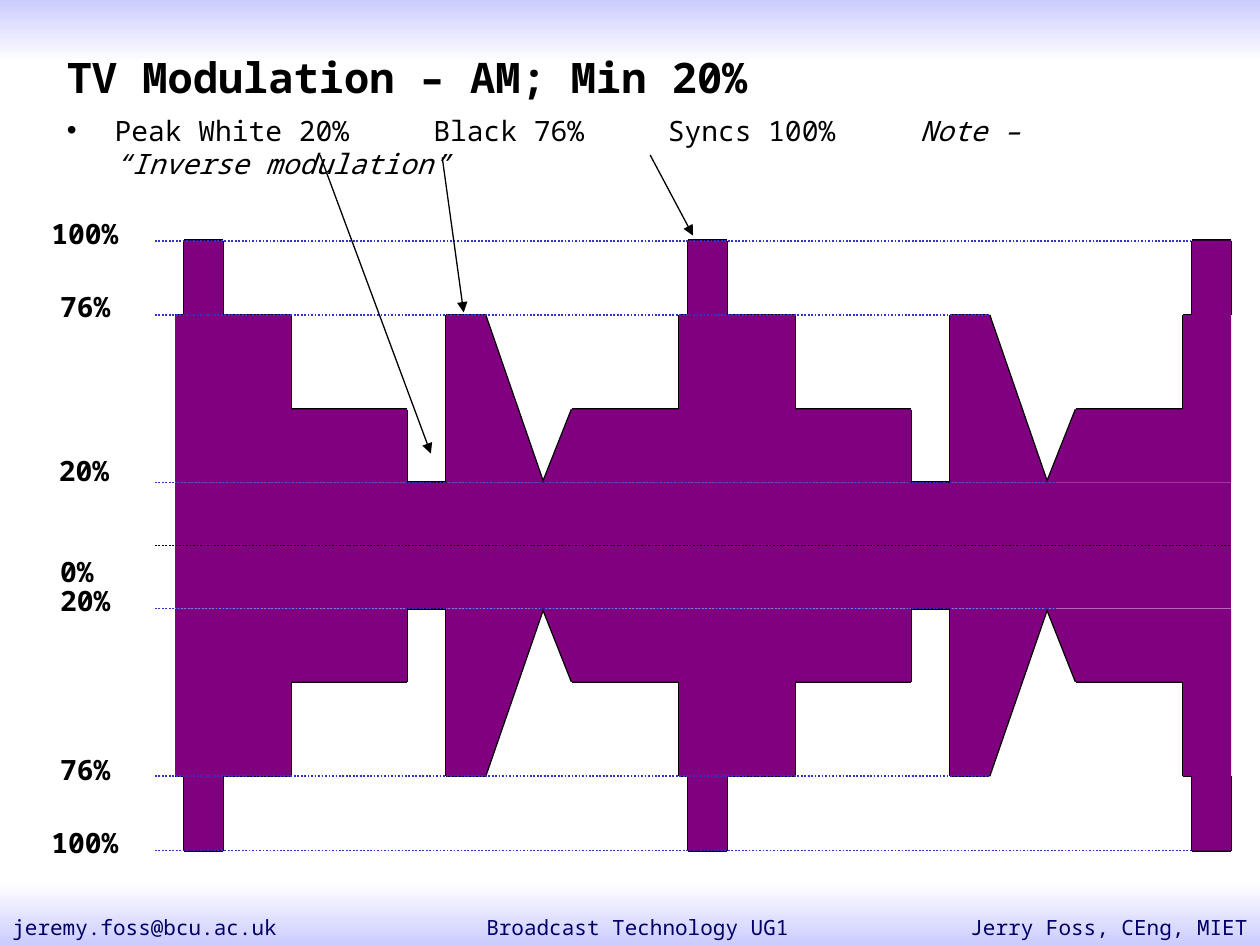
from itertools import pairwise

from lxml.etree import SubElement
from pptx import Presentation
from pptx.dml.color import RGBColor
from pptx.enum.dml import MSO_LINE
from pptx.enum.shapes import MSO_CONNECTOR, MSO_SHAPE
from pptx.enum.text import MSO_ANCHOR, MSO_AUTO_SIZE, PP_ALIGN
from pptx.oxml.ns import qn
from pptx.util import Inches, Pt

FONT = "Noto Sans Mono"
BLACK = RGBColor(0x00, 0x00, 0x00)
WHITE = RGBColor(0xFF, 0xFF, 0xFF)
LAVENDER = RGBColor(0xCC, 0xCC, 0xFF)
NAVY = RGBColor(0x00, 0x00, 0x66)
BLUE = RGBColor(0x33, 0x33, 0xCC)
PURPLE = RGBColor(0x80, 0x00, 0x80)


def add_line(shapes, start, end, color, width):
    line = shapes.add_connector(
        MSO_CONNECTOR.STRAIGHT, *[Inches(value) for value in (*start, *end)])
    line.line.color.rgb = color
    line.line.width = Pt(width)
    SubElement(line._element.spPr, qn("a:effectLst"))
    return line


def add_label(text, left, top, width, height, size, color, bold=False):
    box = slide.shapes.add_textbox(
        Inches(left), Inches(top), Inches(width), Inches(height))
    box.text_frame.text = text
    paragraph = box.text_frame.paragraphs[0]
    font = paragraph.runs[0].font
    font.name, font.size, font.bold = FONT, Pt(size), bold
    font.color.rgb = color
    return box


presentation = Presentation()
presentation.slide_width = Inches(10)
presentation.slide_height = Inches(7.5)
slide = presentation.slides.add_slide(presentation.slide_layouts[1])
shapes = slide.shapes
title, body = shapes.title, slide.placeholders[1]

# Header and footer bands
for top, first, last in ((0, LAVENDER, WHITE), (7, WHITE, LAVENDER)):
    band = shapes.add_shape(
        MSO_SHAPE.RECTANGLE, 0, Inches(top), Inches(10), Inches(0.5))
    band.shadow.inherit = False
    band.line.fill.background()
    band.fill.gradient()
    band.fill.gradient_angle = 270
    for stop, color in zip(band.fill.gradient_stops, (first, last)):
        stop.color.rgb = color

# Footer texts
for text, left, width, alignment in (
        ("Broadcast Technology UG1", 2.66, 4.8, PP_ALIGN.CENTER),
        ("jeremy.foss@bcu.ac.uk", 0, 3.17, PP_ALIGN.LEFT),
        ("Jerry Foss, CEng, MIET", 6.83, 3.17, PP_ALIGN.RIGHT)):
    footer = add_label(text, left, 7.21, width, 0.29, 12, NAVY)
    footer.text_frame.word_wrap = True
    footer.text_frame.paragraphs[0].alignment = alignment

# Title and bullet, placed above the bands
for placeholder, left, top, width, height in (
        (title, 0.43, 0.36, 9, 1.25), (body, 0.43, 0.85, 8.77, 0.75)):
    shapes._spTree.append(placeholder._element)
    placeholder.left, placeholder.top = Inches(left), Inches(top)
    placeholder.width, placeholder.height = Inches(width), Inches(height)
    placeholder.text_frame.vertical_anchor = MSO_ANCHOR.TOP
    placeholder.text_frame.auto_size = MSO_AUTO_SIZE.NONE

title.text_frame.text = "TV Modulation – AM; Min 20%"
body.text_frame.text = "Peak White 20%\tBlack 76%\tSyncs 100%\t"
bullet = body.text_frame.paragraphs[0]
bullet.add_run().text = "Note – “Inverse modulation”"
bullet.runs[-1].font.italic = True
properties = bullet._p.get_or_add_pPr()
properties.set("marL", str(Inches(0.38)))
properties.set("indent", str(-Inches(0.38)))
SubElement(properties, qn("a:buChar")).set("char", "•")
tab_list = SubElement(properties, qn("a:tabLst"))
for position in (2.91, 4.77, 6.77):
    tab = SubElement(tab_list, qn("a:tab"))
    tab.set("pos", str(Inches(position)))
    tab.set("algn", "l")

for placeholder, size, bold in ((title, 24, True), (body, 16, False)):
    paragraph = placeholder.text_frame.paragraphs[0]
    paragraph.alignment = PP_ALIGN.LEFT
    paragraph.space_before = Pt(0)
    for run in paragraph.runs:
        run.font.name, run.font.size, run.font.bold = FONT, Pt(size), bold
        run.font.color.rgb = BLACK

# Signal levels, as distances from the 0% axis
AXIS = 4.33
SYNC_LEVEL, BLACK_LEVEL, GREY_LEVEL, WHITE_LEVEL = 2.42, 1.83, 1.08, 0.5
START, END, PERIOD = 1.39, 9.77, 4

# One television line of the envelope, repeated up to the third sync pulse
cycle = [
    (1.39, BLACK_LEVEL), (1.46, BLACK_LEVEL), (1.46, SYNC_LEVEL),
    (1.77, SYNC_LEVEL), (1.77, BLACK_LEVEL), (2.31, BLACK_LEVEL),
    (2.31, GREY_LEVEL), (3.23, GREY_LEVEL), (3.23, WHITE_LEVEL),
    (3.54, WHITE_LEVEL), (3.54, BLACK_LEVEL), (3.85, BLACK_LEVEL),
    (4.31, WHITE_LEVEL), (4.54, GREY_LEVEL), (5.39, GREY_LEVEL),
]
envelope = [(x + PERIOD * number, level)
            for number in range(3) for x, level in cycle]
envelope = [point for point in envelope if point[0] <= END]

# Envelope outline and fill, above and below the axis
halves = [[(x, AXIS + side * level) for x, level in envelope]
          for side in (-1, 1)]
for half in halves:
    group = shapes.add_group_shape()
    for start, end in pairwise(half):
        add_line(group.shapes, start, end, BLACK, 1.5)
areas = []
for half, side in zip(halves, (-1, 1)):
    inner = AXIS + side * WHITE_LEVEL
    corners = [(Inches(x), Inches(y))
               for x, y in half + [(END, inner), (START, inner)]]
    builder = shapes.build_freeform(*corners[0])
    builder.add_line_segments(corners[1:], close=True)
    areas.append(builder.convert_to_shape())
areas.append(shapes.add_shape(
    MSO_SHAPE.RECTANGLE, Inches(START), Inches(AXIS - WHITE_LEVEL),
    Inches(END - START), Inches(2 * WHITE_LEVEL)))
for area in areas:
    area.shadow.inherit = False
    area.fill.solid()
    area.fill.fore_color.rgb = PURPLE
    area.line.fill.background()

# Dotted level lines
for side in (1, -1):
    for level, right in (
            (WHITE_LEVEL, 8.39), (BLACK_LEVEL, 7.85), (SYNC_LEVEL, 9.47)):
        y = AXIS + side * level
        level_line = add_line(shapes, (1.23, y), (right, y), BLUE, 1)
        level_line.line.dash_style = MSO_LINE.ROUND_DOT
axis_line = add_line(shapes, (1.23, AXIS), (END, AXIS), BLACK, 1)
axis_line.line.dash_style = MSO_LINE.ROUND_DOT

# Level labels
for text, left, top, width in (
        ("20%", 0.37, 3.55, 0.64), ("20%", 0.38, 4.58, 0.64),
        ("0%", 0.38, 4.35, 0.64), ("76%", 0.38, 5.92, 0.64),
        ("76%", 0.38, 2.25, 0.64), ("100%", 0.31, 1.67, 0.78),
        ("100%", 0.31, 6.5, 0.78)):
    label = add_label(text, left, top, width, 0.37, 16, BLACK, bold=True)
    label.text_frame.word_wrap = False

# Arrows from the bullet text to the signal
for start, end in (((2.54, 1.23), (3.42, 3.6)), ((3.51, 1.25), (3.68, 2.48)),
                   ((5.16, 1.23), (5.5, 1.87))):
    arrow = add_line(shapes, start, end, BLACK, 0.75)
    SubElement(arrow.line._get_or_add_ln(), qn("a:tailEnd")).set(
        "type", "triangle")

presentation.save("out.pptx")
